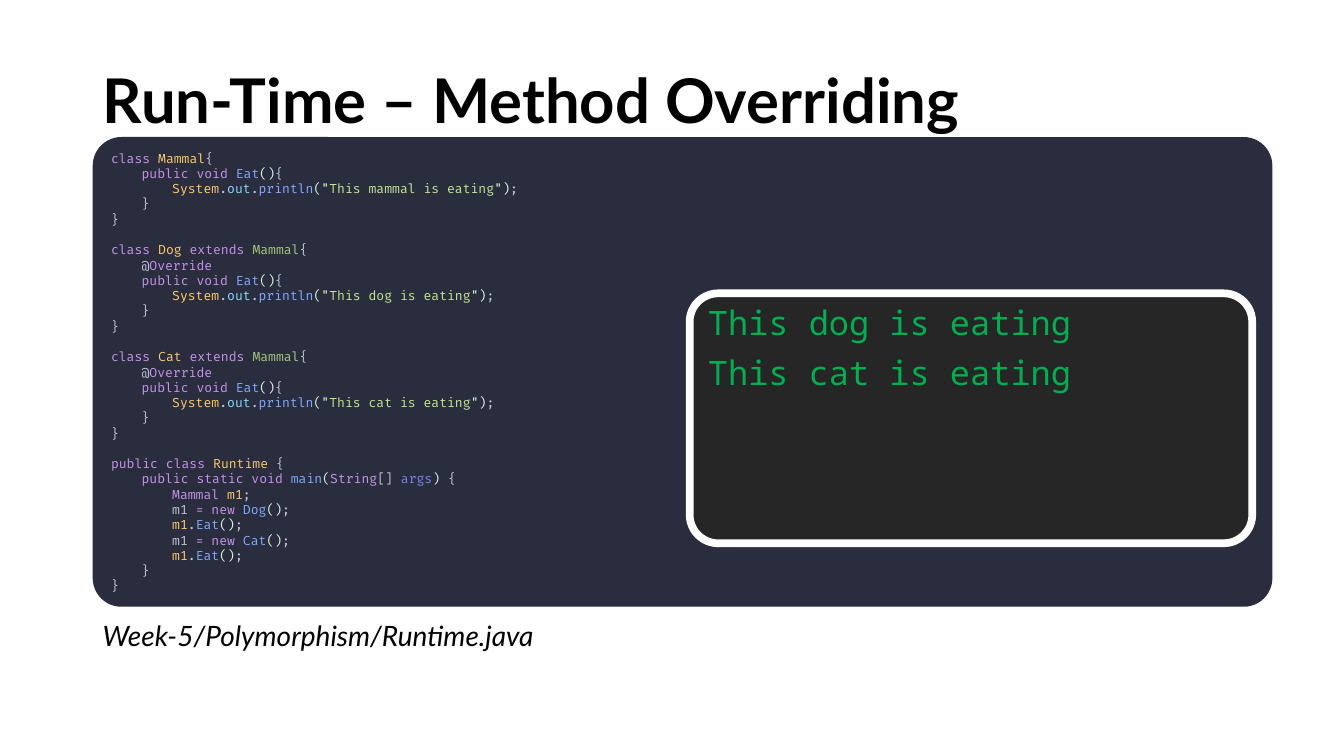
import pptx
import pptx.util
import pptx.dml.color
import pptx.enum.shapes
import pptx.enum.text

Inches = pptx.util.Inches
Pt = pptx.util.Pt

COLORS = {
    "ink": "000000", "white": "FFFFFF", "editor": "292D3E",
    "console": "262626", "output": "00B050",
    "keyword": "C792EA", "type": "FFCB6B", "plain": "BFC7D5",
    "method": "82AAFF", "bracket": "D9F5DD", "field": "89DDFF",
    "string": "C3E88D", "parent": "A9C77D", "argument": "7986E7",
}
CODE_SIZE = 9.1
INDENT = Pt(4 * 0.6 * CODE_SIZE)  # four monospaced characters
LINE_HEIGHT = Pt(1.2 * CODE_SIZE)


def rgb(name):
    return pptx.dml.color.RGBColor.from_string(COLORS[name])


def style(run, font, size, color, bold=False, italic=False):
    run.font.name = font
    run.font.size = Pt(size)
    run.font.color.rgb = rgb(color)
    run.font.bold = bold
    run.font.italic = italic


# Java code: each line is (indent level, [(text, colour), ...])
END = (";", "plain")
OPEN = ("{", "plain")
CALL = ("()", "bracket")
DOT = (".", "plain")


def closing(level):
    return level, [("}", "plain")]


def eat_method(animal):
    return [
        (1, [("public void ", "keyword"), ("Eat", "method"), CALL, OPEN]),
        (2, [("System", "type"), DOT, ("out", "field"), DOT,
             ("println", "method"), ('("', "bracket"),
             (f"This {animal} is eating", "string"), ('")', "bracket"), END]),
        closing(1),
        closing(0),
    ]


def subclass(name):
    return [
        (0, [("class ", "keyword"), (name + " ", "type"),
             ("extends ", "keyword"), ("Mammal", "parent"), OPEN]),
        (1, [("@", "plain"), ("Override", "keyword")]),
        *eat_method(name.lower()),
    ]


def eat_call(name):
    return [
        (2, [("m1 ", "plain"), ("= new ", "keyword"), (name, "method"), CALL, END]),
        (2, [("m1", "type"), DOT, ("Eat", "method"), CALL, END]),
    ]


MAMMAL = [(0, [("class ", "keyword"), ("Mammal", "type"), OPEN]),
          *eat_method("mammal")]
RUNTIME = [
    (0, [("public class ", "keyword"), ("Runtime", "type"), (" {", "plain")]),
    (1, [("public static void ", "keyword"), ("main", "method"),
         ("(", "bracket"), ("String", "keyword"), ("[] ", "plain"),
         ("args", "argument"), (")", "bracket"), (" {", "plain")]),
    (2, [("Mammal ", "keyword"), ("m1", "type"), END]),
    *eat_call("Dog"),
    *eat_call("Cat"),
    closing(1),
    closing(0),
]
CLASSES = [MAMMAL, subclass("Dog"), subclass("Cat"), RUNTIME]


def add_heading(slide, box, text, size, anchor, bold=False, italic=False):
    frame = slide.shapes.add_textbox(*map(Inches, box)).text_frame
    frame.word_wrap = True
    frame.vertical_anchor = anchor
    line = frame.paragraphs[0]
    line.text = text
    line.line_spacing = 0.9
    style(line.runs[0], "Lato", size, "ink", bold, italic)


def add_panel(slide, box, corner, fill):
    panel = slide.shapes.add_shape(
        pptx.enum.shapes.MSO_SHAPE.ROUNDED_RECTANGLE, *map(Inches, box))
    panel.adjustments[0] = corner
    panel.shadow.inherit = False
    panel.fill.solid()
    panel.fill.fore_color.rgb = rgb(fill)
    panel.line.fill.background()
    panel.text_frame.word_wrap = True
    panel.text_frame.vertical_anchor = pptx.enum.text.MSO_ANCHOR.TOP
    return panel


def next_line(frame, first):
    line = frame.paragraphs[0] if first else frame.add_paragraph()
    line.alignment = pptx.enum.text.PP_ALIGN.LEFT
    return line


def add_code(slide, box, classes):
    frame = add_panel(slide, box, 0.061, "editor").text_frame
    for class_index, code_lines in enumerate(classes):
        for line_index, (level, tokens) in enumerate(code_lines):
            line = next_line(frame, class_index == line_index == 0)
            line._p.get_or_add_pPr().set("marL", str(level * INDENT))
            if class_index and line_index == 0:
                line.space_before = LINE_HEIGHT
            for text, color in tokens:
                token = line.add_run()
                token.text = text
                style(token, "Fira Code", CODE_SIZE, color)


def add_console(slide, box, messages):
    console = add_panel(slide, box, 0.114, "console")
    console.line.color.rgb = rgb("white")
    console.line.width = Pt(5.5)
    for index, message in enumerate(messages):
        line = next_line(console.text_frame, index == 0)
        line.text = message
        line.line_spacing = 0.9
        line.space_before = Pt(10)
        style(line.runs[0], "Noto Sans Mono", 24, "output")


def build_overriding_slide(deck):
    slide = deck.slides.add_slide(deck.slide_layouts[6])
    anchors = pptx.enum.text.MSO_ANCHOR
    # Title
    add_heading(slide, (0.92, 0.3, 11.5, 1.45), "Run-Time – Method Overriding",
                44, anchors.MIDDLE, bold=True)
    # Source code
    add_code(slide, (0.92, 1.36, 11.7, 4.66), CLASSES)
    # File path
    add_heading(slide, (0.92, 6.12, 8.7, 0.74), "Week-5/Polymorphism/Runtime.java",
                20, anchors.TOP, italic=True)
    # Program output
    add_console(slide, (6.84, 2.91, 5.58, 2.48),
                ["This dog is eating", "This cat is eating"])


def main():
    deck = pptx.Presentation()
    deck.slide_width = Inches(13.33)
    deck.slide_height = Inches(7.5)
    build_overriding_slide(deck)
    deck.save("out.pptx")


if __name__ == "__main__":
    main()
